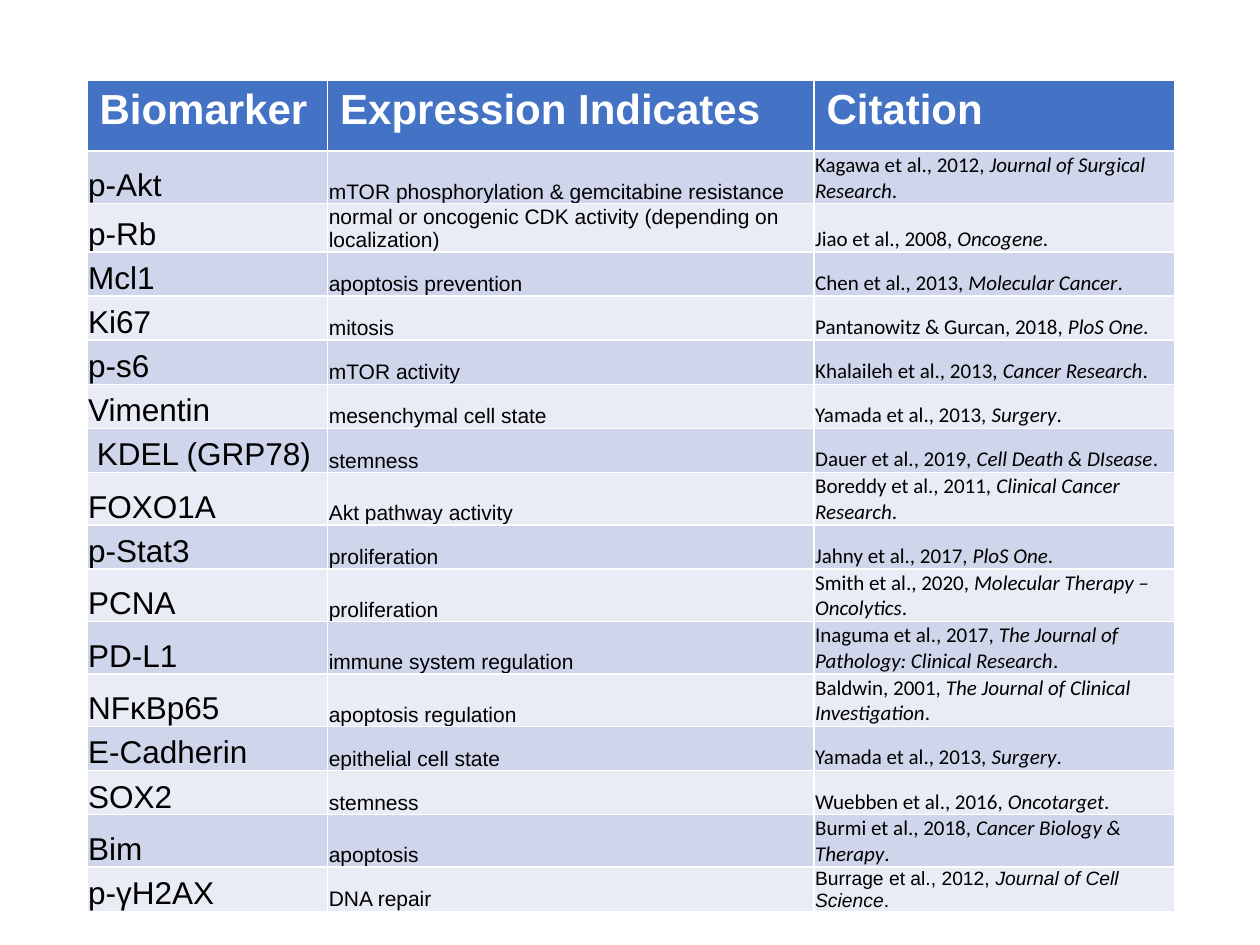
"""Build a slide with a table of biomarkers, what they indicate and their citations."""
from dataclasses import dataclass

from pptx import Presentation
from pptx.dml.color import RGBColor
from pptx.enum.text import MSO_ANCHOR
from pptx.table import Table, _Cell
from pptx.util import Inches, Pt

BOTTOM = MSO_ANCHOR.BOTTOM
BLANK_LAYOUT = 6
HEADER_FILL = "4472C4"
BAND_FILLS = ("CFD5EA", "E9EBF5")
COLUMN_WIDTHS = (1.91, 3.86, 2.86)
HEADER_HEIGHT, ROW_HEIGHT = 0.56, 0.35
HEADINGS = ("Biomarker", "Expression Indicates", "Citation")
BODY_FORMAT = {
    "vertical_anchor": BOTTOM,
    "margin_left": Inches(0.01),
    "margin_top": Inches(0.01),
    "margin_right": Inches(0.01),
    "margin_bottom": Inches(0),
}


@dataclass(frozen=True)
class TextStyle:
    size: float
    font: str = "Arial"
    color: str = "000000"
    bold: bool = False


@dataclass(frozen=True)
class Biomarker:
    name: str
    indicates: str
    authors: str
    journal: str


HEADING_STYLE = TextStyle(24, color="FFFFFF", bold=True)
NAME_STYLE = TextStyle(18)
INDICATES_STYLE = TextStyle(12)
CITATION_STYLE = TextStyle(12, "Calibri")
LAST_CITATION_STYLE = TextStyle(11)

BIOMARKERS = (
    Biomarker("p-Akt", "mTOR phosphorylation & gemcitabine resistance",
              "Kagawa et al., 2012", "Journal of Surgical Research"),
    Biomarker("p-Rb", "normal or oncogenic CDK activity (depending on localization)",
              "Jiao et al., 2008", "Oncogene"),
    Biomarker("Mcl1", "apoptosis prevention", "Chen et al., 2013", "Molecular Cancer"),
    Biomarker("Ki67", "mitosis", "Pantanowitz & Gurcan, 2018", "PloS One"),
    Biomarker("p-s6", "mTOR activity", "Khalaileh et al., 2013", "Cancer Research"),
    Biomarker("Vimentin", "mesenchymal cell state", "Yamada et al., 2013", "Surgery"),
    Biomarker(" KDEL (GRP78)", "stemness", "Dauer et al., 2019", "Cell Death & DIsease"),
    Biomarker("FOXO1A", "Akt pathway activity",
              "Boreddy et al., 2011", "Clinical Cancer Research"),
    Biomarker("p-Stat3", "proliferation", "Jahny et al., 2017", "PloS One"),
    Biomarker("PCNA", "proliferation",
              "Smith et al., 2020", "Molecular Therapy – Oncolytics"),
    Biomarker("PD-L1", "immune system regulation",
              "Inaguma et al., 2017", "The Journal of Pathology: Clinical Research"),
    Biomarker("NFκBp65", "apoptosis regulation",
              "Baldwin, 2001", "The Journal of Clinical Investigation"),
    Biomarker("E-Cadherin", "epithelial cell state", "Yamada et al., 2013", "Surgery"),
    Biomarker("SOX2", "stemness", "Wuebben et al., 2016", "Oncotarget"),
    Biomarker("Bim", "apoptosis", "Burmi et al., 2018", "Cancer Biology & Therapy"),
    Biomarker("p-γH2AX", "DNA repair", "Burrage et al., 2012", "Journal of Cell Science"),
)


def rgb(value: str) -> RGBColor:
    """Turn a hex string into a colour."""
    return RGBColor.from_string(value)


def fill_cell(cell: _Cell, color: str) -> None:
    """Give a cell a solid fill."""
    cell.fill.solid()
    cell.fill.fore_color.rgb = rgb(color)


def add_text(cell: _Cell, text: str, style: TextStyle, italic: bool = False) -> None:
    """Append a formatted run to the first paragraph of a cell."""
    run = cell.text_frame.paragraphs[0].add_run()
    run.text = text
    font_format = {"size": Pt(style.size), "name": style.font,
                   "bold": style.bold, "italic": italic}
    for attribute, value in font_format.items():
        setattr(run.font, attribute, value)
    run.font.color.rgb = rgb(style.color)


def write_header(table: Table) -> None:
    """Write the column headings."""
    for cell, heading in zip(table.rows[0].cells, HEADINGS):
        fill_cell(cell, HEADER_FILL)
        add_text(cell, heading, HEADING_STYLE)


def write_biomarker(table: Table, index: int, biomarker: Biomarker) -> None:
    """Write one biomarker into its banded row."""
    cells = list(table.rows[index + 1].cells)
    for cell in cells:
        fill_cell(cell, BAND_FILLS[index % len(BAND_FILLS)])
        for attribute, value in BODY_FORMAT.items():
            setattr(cell, attribute, value)
    name, indicates, citation = cells
    is_last = index == len(BIOMARKERS) - 1
    citation_style = LAST_CITATION_STYLE if is_last else CITATION_STYLE
    add_text(name, biomarker.name, NAME_STYLE)
    add_text(indicates, biomarker.indicates, INDICATES_STYLE)
    add_text(citation, f"{biomarker.authors}, ", citation_style)
    add_text(citation, biomarker.journal, citation_style, italic=True)
    add_text(citation, ".", citation_style)


def main() -> None:
    """Build and save the slide."""
    presentation = Presentation()
    presentation.slide_width = Inches(10)
    presentation.slide_height = Inches(7.5)
    slide = presentation.slides.add_slide(presentation.slide_layouts[BLANK_LAYOUT])
    table_height = HEADER_HEIGHT + ROW_HEIGHT * len(BIOMARKERS)
    table = slide.shapes.add_table(
        len(BIOMARKERS) + 1, len(HEADINGS), Inches(0.69), Inches(0.64),
        Inches(sum(COLUMN_WIDTHS)), Inches(table_height)).table
    for column, width in zip(table.columns, COLUMN_WIDTHS):
        column.width = Inches(width)
    for index, row in enumerate(table.rows):
        row.height = Inches(ROW_HEIGHT if index else HEADER_HEIGHT)
    write_header(table)
    for index, biomarker in enumerate(BIOMARKERS):
        write_biomarker(table, index, biomarker)
    presentation.save("out.pptx")


if __name__ == "__main__":
    main()
